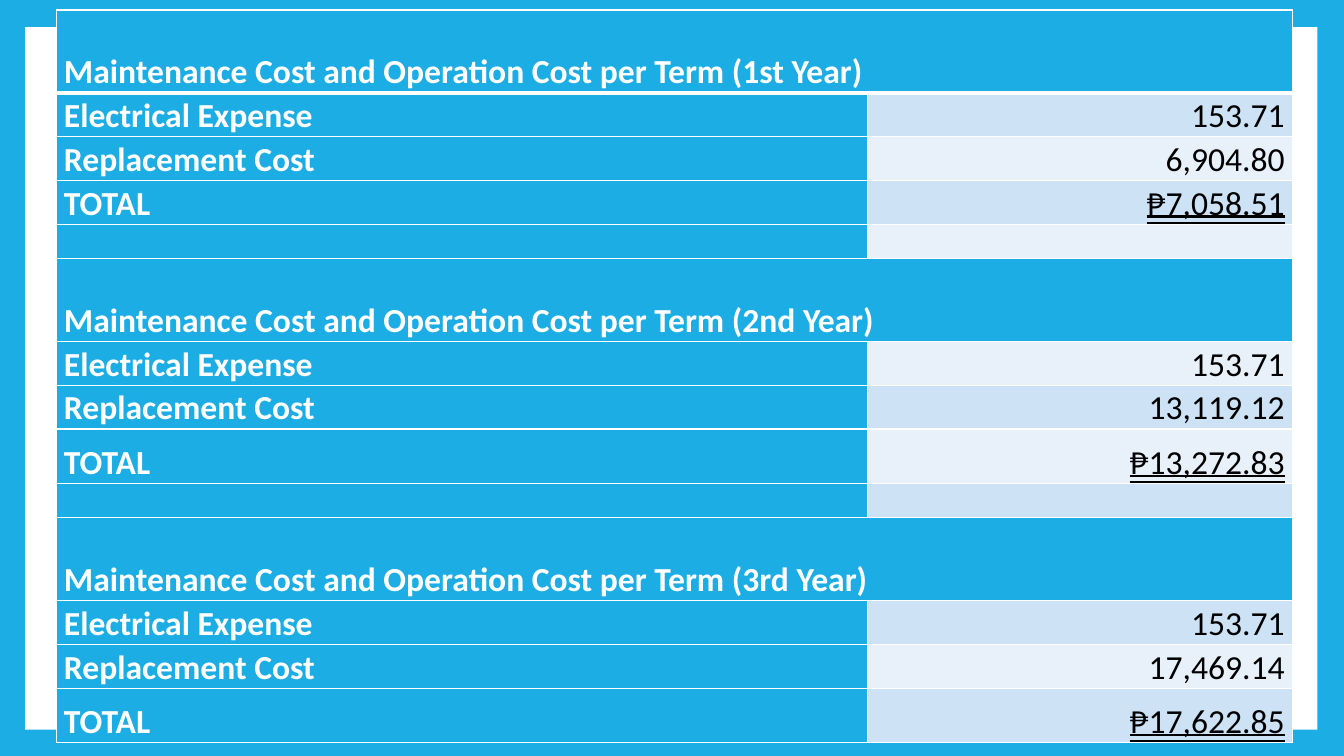
from lxml import etree
from pptx import Presentation
from pptx.dml.color import RGBColor
from pptx.enum.shapes import MSO_SHAPE
from pptx.enum.text import MSO_ANCHOR, MSO_UNDERLINE, PP_ALIGN
from pptx.oxml import parse_xml
from pptx.oxml.ns import nsdecls
from pptx.util import Pt

RECTANGLE = MSO_SHAPE.RECTANGLE
BOTTOM = MSO_ANCHOR.BOTTOM
RIGHT = PP_ALIGN.RIGHT
DOUBLE = MSO_UNDERLINE.DOUBLE_LINE

BLUE = RGBColor(0x1C, 0xAD, 0xE4)
BAND_DARK = RGBColor(0xCD, 0xE3, 0xF5)
BAND_LIGHT = RGBColor(0xE8, 0xF1, 0xFA)
WHITE = RGBColor(0xFF, 0xFF, 0xFF)
BLACK = RGBColor(0, 0, 0)

FONT = "Calibri"
COLUMN_WIDTHS = (579.6, 303.12)
TITLE_HEIGHT, ITEM_HEIGHT, GAP_HEIGHT = 59.04, 29.52, 24.48

# Year, replacement cost, total, height of the total row
YEARS = (
    ("1st", "6,904.80", "₱7,058.51", ITEM_HEIGHT),
    ("2nd", "13,119.12", "₱13,272.83", 38.88),
    ("3rd", "17,469.14", "₱17,622.85", 38.88),
)


def cost_rows():
    """Return (label, amount, height) for each table row; titles have no amount."""
    rows = []
    for year, replacement, total, total_height in YEARS:
        if rows:
            rows.append(("", "", GAP_HEIGHT))
        rows += [
            (f"Maintenance Cost and Operation Cost per Term ({year} Year)",
             None, TITLE_HEIGHT),
            ("Electrical Expense", "153.71", ITEM_HEIGHT),
            ("Replacement Cost", replacement, ITEM_HEIGHT),
            ("TOTAL", total, total_height),
        ]
    return rows


def set_borders(cell, top=1, bottom=1):
    """Draw white cell borders, with widths in points."""
    tcPr = cell._tc.get_or_add_tcPr()
    widths = {"lnL": 1, "lnR": 1, "lnT": top, "lnB": bottom}
    for i, (side, width) in enumerate(widths.items()):
        ln = parse_xml(f'<a:{side} {nsdecls("a")} w="{Pt(width)}"/>')
        fill = etree.SubElement(ln, ln.tag.replace(side, "solidFill"))
        etree.SubElement(fill, ln.tag.replace(side, "srgbClr"), val=str(WHITE))
        tcPr.insert(i, ln)


def fill_cell(cell, text, fill, color, bold=False):
    cell.fill.solid()
    cell.fill.fore_color.rgb = fill
    cell.vertical_anchor = BOTTOM
    cell.margin_left = cell.margin_right = Pt(5.4)
    cell.margin_top = cell.margin_bottom = 0
    p = cell.text_frame.paragraphs[0]
    p.line_spacing = 1.07
    p.font.name = FONT
    p.font.size = Pt(24 if text else 12)
    p.font.bold = bold
    p.font.color.rgb = color
    if text:
        p.add_run().text = text
    return p


def add_panel(s):
    sp = s.shapes.add_shape(RECTANGLE, Pt(18), Pt(19.44), Pt(923.04), Pt(501.84))
    sp.shadow.inherit = False
    sp.fill.solid()
    sp.fill.fore_color.rgb = WHITE
    sp.line.fill.background()


def add_cost_table(s):
    rows = cost_rows()
    height = sum(row[2] for row in rows)
    table = s.shapes.add_table(len(rows), 2, Pt(40.32), Pt(7.2),
                               Pt(sum(COLUMN_WIDTHS)), Pt(height)).table
    for column, width in zip(table.columns, COLUMN_WIDTHS):
        column.width = Pt(width)
    for i, (label, amount, row_height) in enumerate(rows):
        table.rows[i].height = Pt(row_height)
        left, right = table.cell(i, 0), table.cell(i, 1)
        fill_cell(left, label, BLUE, WHITE, bold=True)
        if amount is None:
            fill_cell(right, "", BLUE, WHITE)
            left.merge(right)
        else:
            band = BAND_DARK if i % 2 else BAND_LIGHT
            p = fill_cell(right, amount, band, BLACK)
            p.alignment = RIGHT
            if label == "TOTAL":
                p.font.underline = DOUBLE
        for cell in (left, right):
            set_borders(cell, top=3 if i == 1 else 1, bottom=3 if i == 0 else 1)


def main():
    prs = Presentation()
    prs.slide_width, prs.slide_height = Pt(960), Pt(540)
    s = prs.slides.add_slide(prs.slide_layouts[6])
    s.background.fill.solid()
    s.background.fill.fore_color.rgb = BLUE
    add_panel(s)
    add_cost_table(s)
    prs.save("out.pptx")


if __name__ == "__main__":
    main()
